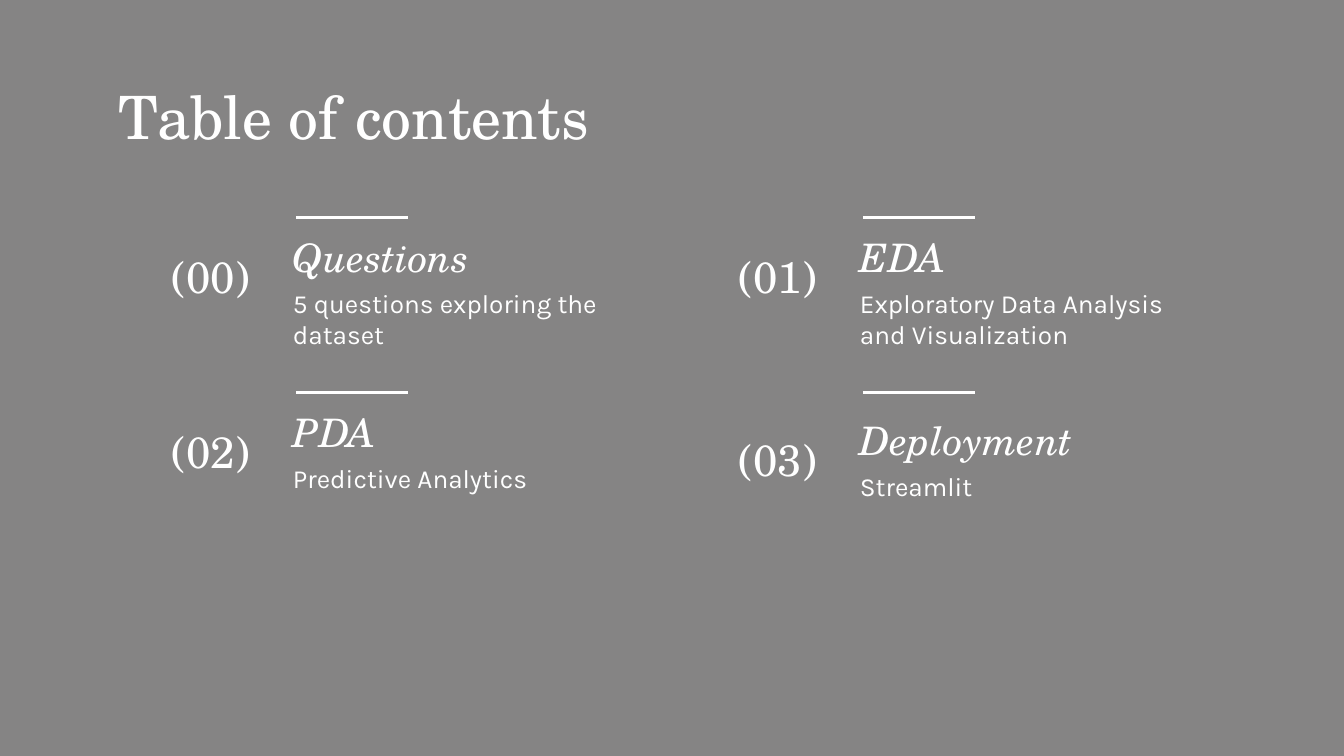
from dataclasses import dataclass

from lxml.etree import SubElement
from pptx import Presentation
from pptx.dml.color import RGBColor
from pptx.enum.shapes import MSO_CONNECTOR
from pptx.enum.text import MSO_ANCHOR, MSO_AUTO_SIZE, PP_ALIGN
from pptx.oxml.ns import qn
from pptx.util import Pt


@dataclass(frozen=True)
class Theme:
    background: RGBColor = RGBColor(0x85, 0x84, 0x84)
    ink: RGBColor = RGBColor(0xFF, 0xFF, 0xFF)
    serif: str = "TeX Gyre Schola"
    sans: str = "Karla"
    title_size: float = 32
    number_size: float = 23.5
    heading_size: float = 21
    body_size: float = 14
    rule_width: float = 1.5
    inset: float = 7.2


class ContentsSlide:
    def __init__(self, page, theme):
        self.page = page
        self.theme = theme
        page.background.fill.solid()
        page.background.fill.fore_color.rgb = theme.background

    def style_text(self, box, text, font_name, size, italic=False,
                   align=PP_ALIGN.LEFT, top_inset=0):
        frame = box.text_frame
        frame.word_wrap = True
        frame.auto_size = MSO_AUTO_SIZE.NONE
        frame.vertical_anchor = MSO_ANCHOR.TOP
        frame.margin_left = frame.margin_right = Pt(self.theme.inset)
        frame.margin_top = Pt(top_inset)
        frame.margin_bottom = Pt(self.theme.inset)
        frame.text = text
        para = frame.paragraphs[0]
        para.alignment = align
        para.font.name = font_name
        para.font.size = Pt(size)
        para.font.italic = italic
        para.font.color.rgb = self.theme.ink

    def title(self, text, left, top, width, height):
        box = self.page.shapes.title
        box.left, box.top, box.width, box.height = map(Pt, (left, top, width, height))
        self.style_text(box, text, self.theme.serif, self.theme.title_size)

    def text(self, text, left, top, width, height, font_name, size, **style):
        box = self.page.shapes.add_textbox(*map(Pt, (left, top, width, height)))
        self.style_text(box, text, font_name, size, **style)

    def rule(self, left, top, length):
        line = self.page.shapes.add_connector(
            MSO_CONNECTOR.STRAIGHT, Pt(left), Pt(top), Pt(left + length), Pt(top))
        line.line.color.rgb = self.theme.ink
        line.line.width = Pt(self.theme.rule_width)
        SubElement(line._element.spPr, qn("a:effectLst"))

    def entry(self, number, heading, description, left, top, drop=0):
        """Place one entry below its rule; drop lowers the text only."""
        theme = self.theme
        text_left = left + 71.3
        text_top = top + drop
        self.rule(left + 80, top, 60)
        self.text(number, left, text_top + 2.9, 69, 64, theme.serif, theme.number_size,
                  align=PP_ALIGN.CENTER, top_inset=14.4)
        self.text(heading, text_left, text_top + 8.6, 188.6, 28,
                  theme.serif, theme.heading_size, italic=True)
        self.text(description, text_left, text_top + 37.4, 188.6, 36.7,
                  theme.sans, theme.body_size)


ENTRIES = [
    ("Questions", "5 questions exploring the dataset", 0),
    ("EDA", "Exploratory Data Analysis and Visualization", 0),
    ("PDA", "Predictive Analytics", 0),
    ("Deployment", "Streamlit", 4.3),
]
COLUMNS = 2
FIRST_LEFT, FIRST_TOP = 78.5, 116.6
COLUMN_STEP, ROW_STEP = 303.8, 93.6


def main():
    deck = Presentation()
    deck.slide_width, deck.slide_height = Pt(720), Pt(405)
    page = deck.slides.add_slide(deck.slide_layouts.get_by_name("Title Only"))
    contents = ContentsSlide(page, Theme())
    contents.title("Table of contents", 56.2, 42.5, 607.7, 48.2)
    for index, (heading, description, drop) in enumerate(ENTRIES):
        row, column = divmod(index, COLUMNS)
        contents.entry(f"({index:02d})", heading, description,
                       FIRST_LEFT + column * COLUMN_STEP,
                       FIRST_TOP + row * ROW_STEP, drop)
    deck.save("out.pptx")


if __name__ == "__main__":
    main()
